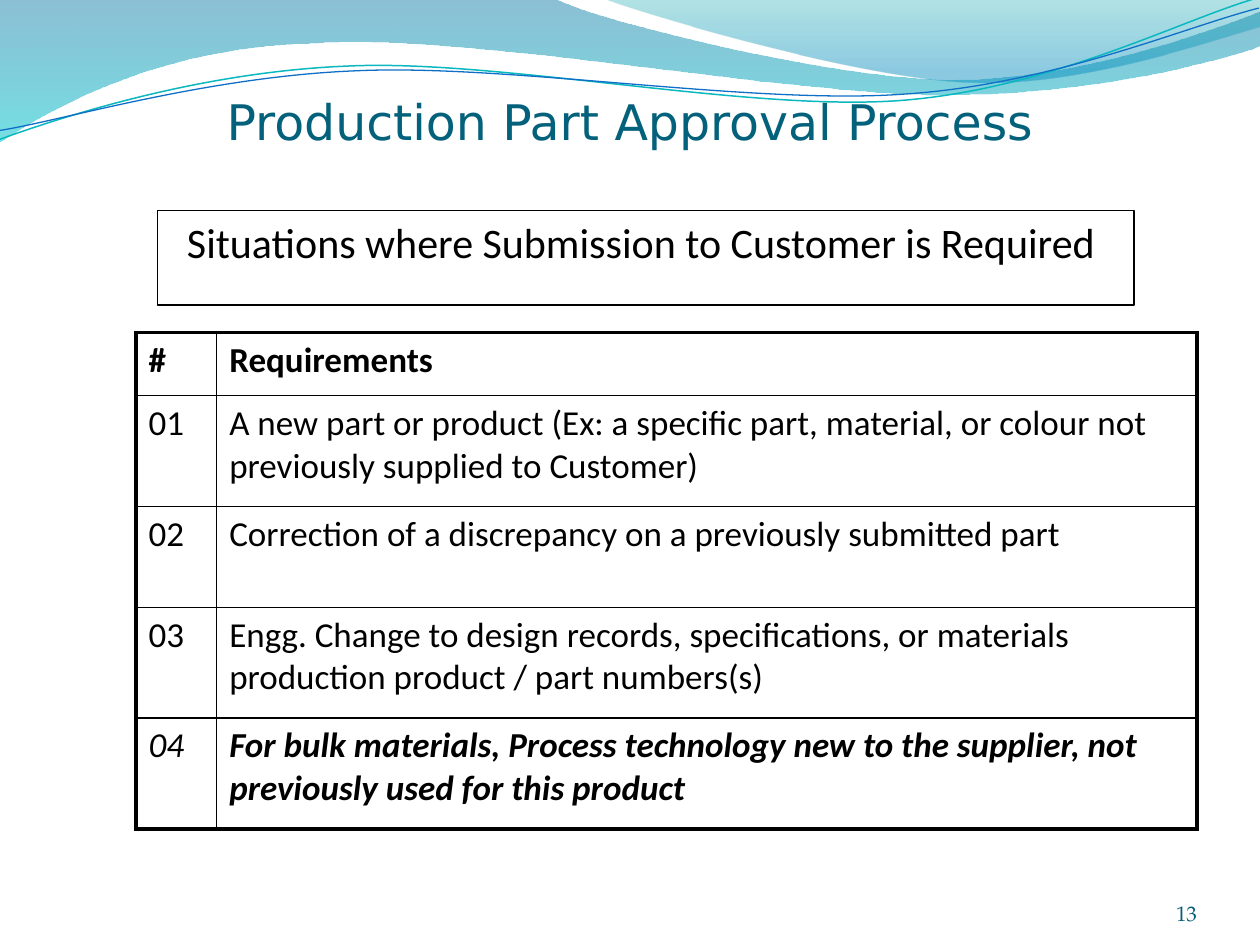
"""Build the slide on when a part approval submission to the customer is required."""
from dataclasses import dataclass

from lxml import etree
from pptx import Presentation
from pptx.dml.color import RGBColor
from pptx.enum.shapes import MSO_SHAPE
from pptx.enum.text import MSO_ANCHOR, PP_ALIGN
from pptx.oxml.ns import qn
from pptx.util import Pt

PX = 9144
STRAND_ROTATION = 357.3
THIN, THICK = 1, 2.25
RECTANGLE = MSO_SHAPE.RECTANGLE
TOP, BOTTOM = MSO_ANCHOR.TOP, MSO_ANCHOR.BOTTOM
LEFT, CENTER, RIGHT = PP_ALIGN.LEFT, PP_ALIGN.CENTER, PP_ALIGN.RIGHT

BLACK = RGBColor(0x00, 0x00, 0x00)
WHITE = RGBColor(0xFF, 0xFF, 0xFF)
TITLE_BLUE = RGBColor(0x04, 0x61, 0x7B)
NUMBER_BLUE = RGBColor(0x04, 0x5D, 0x75)
DEEP_BLUE = RGBColor(0x00, 0x74, 0xA1)
CYAN = RGBColor(0x00, 0xC6, 0xCF)
TEAL = RGBColor(0x00, 0xA1, 0xA9)
SKY_BLUE = RGBColor(0x00, 0x8B, 0xBF)
LINE_TEAL = RGBColor(0x0A, 0xB8, 0xBF)
LINE_BLUE = RGBColor(0x0F, 0x6F, 0xC6)

Point = tuple[int, int]


@dataclass(frozen=True)
class GradientStop:
    position: float
    color: RGBColor
    opacity: int


@dataclass(frozen=True)
class Band:
    start: Point
    steps: tuple[tuple[Point, ...], ...]
    stops: tuple[GradientStop, GradientStop]


@dataclass(frozen=True)
class Strand:
    start: Point
    steps: tuple[tuple[Point, ...], ...]
    color: RGBColor
    weight: float


@dataclass(frozen=True)
class TextStyle:
    font: str
    size: int
    color: RGBColor
    alignment: PP_ALIGN = LEFT
    bold: bool = False
    italic: bool = False


@dataclass(frozen=True)
class Requirement:
    number: str
    text: str
    height: int
    bold: tuple[bool, bool] = (False, False)
    italic: bool = False


BANDS = (
    Band((0, 0), (
        ((440, -1),),
        ((476, 17), (664, 63), (758, 63)),
        ((853, 63), (958, 26), (1000, 9)),
        ((1001, 36),),
        ((983, 44), (870, 76), (746, 75)),
        ((622, 75), (382, 28), (257, 34)),
        ((129, 36), (46, 83), (-1, 113)),
        ((0, 0),),
    ), (GradientStop(0, DEEP_BLUE, 45), GradientStop(1, CYAN, 55))),
    Band((479, -1), (
        ((509, 11), (682, 62), (769, 65)),
        ((856, 69), (961, 32), (1000, 21)),
        ((1000, 0),),
        ((479, -1),),
    ), (GradientStop(0, TEAL, 30), GradientStop(0.8, SKY_BLUE, 45))),
)
STRANDS = (
    Strand((-2, 87), (
        ((47, 72), (158, 41), (277, 42)),
        ((396, 42), (591, 93), (712, 90)),
        ((832, 87), (940, 36), (1000, 22)),
    ), LINE_TEAL, 0.85),
    Strand((-2, 80), (
        ((46, 75), (164, 45), (283, 46)),
        ((403, 46), (596, 88), (716, 85)),
        ((835, 83), (942, 42), (1001, 30)),
    ), LINE_BLUE, 0.75),
)
COLUMN_WIDTHS = (64, 778)
REQUIREMENTS = (
    Requirement("#", "Requirements", 50, bold=(True, True)),
    Requirement("01", "A new part or product (Ex: a specific part, material, or colour not "
                "previously supplied to Customer)", 88),
    Requirement("02", "Correction of a discrepancy on a previously submitted part", 80),
    Requirement("03", "Engg. Change to design records, specifications, or materials "
                "production product / part numbers(s)", 88),
    Requirement("04", "For bulk materials, Process technology new to the supplier, not "
                "previously used for this product", 88, bold=(False, True), italic=True),
)


def draw_outline(shapes, item: Band | Strand, close: bool):
    """Draw an outline whose three-point steps are cubic curves."""
    builder = shapes.build_freeform(*item.start, scale=PX)
    builder.add_line_segments([point for step in item.steps for point in step], close=close)
    shape = builder.convert_to_shape()
    shape.shadow.inherit = False
    segments = iter(list(shape._element.iter(qn("a:lnTo"))))
    for step in item.steps:
        first, *others = [next(segments) for _ in step]
        if others:
            curve = etree.Element(qn("a:cubicBezTo"))
            first.addprevious(curve)
            for segment in (first, *others):
                curve.append(segment[0])
                segment.getparent().remove(segment)
    return shape


def draw_band(shapes, band: Band) -> None:
    """Draw a wave filled with a translucent gradient from top to bottom."""
    shape = draw_outline(shapes, band, True)
    shape.line.fill.background()
    shape.fill.gradient()
    shape.fill.gradient_angle = 270
    for stop, values in zip(shape.fill.gradient_stops, band.stops):
        stop.position = values.position
        stop.color.rgb = values.color
    for color, values in zip(shape._element.spPr.iter(qn("a:srgbClr")), band.stops):
        etree.SubElement(color, qn("a:alpha"), val=str(values.opacity * 1000))


def draw_strand(shapes, strand: Strand) -> None:
    """Draw an open wavy line, slightly turned."""
    shape = draw_outline(shapes, strand, False)
    shape.rotation = STRAND_ROTATION
    shape.fill.background()
    shape.line.color.rgb = strand.color
    shape.line.width = Pt(strand.weight)


def write_text(frame, text: str, style: TextStyle) -> None:
    """Write one styled paragraph."""
    frame.word_wrap = True
    paragraph = frame.paragraphs[0]
    paragraph.text = text
    paragraph.alignment = style.alignment
    font = paragraph.font
    font.name, font.size, font.color.rgb = style.font, Pt(style.size), style.color
    font.bold, font.italic = style.bold, style.italic


def draw_text(slide, box: tuple[int, int, int, int], text: str, style: TextStyle):
    """Add a text box and return its frame."""
    frame = slide.shapes.add_textbox(*(value * PX for value in box)).text_frame
    write_text(frame, text, style)
    return frame


def draw_subtitle(slide) -> None:
    """Draw the framed subtitle."""
    shape = slide.shapes.add_shape(RECTANGLE, 125 * PX, 167 * PX, 775 * PX, 75 * PX)
    shape.shadow.inherit = False
    shape.fill.solid()
    shape.fill.fore_color.rgb = WHITE
    shape.line.color.rgb = BLACK
    shape.line.width = Pt(0.75)
    shape.text_frame.vertical_anchor = TOP
    write_text(shape.text_frame, "Situations where Submission to Customer is Required ",
               TextStyle("Calibri", 24, BLACK, CENTER))


def set_borders(cell, weights: dict[str, float]) -> None:
    """Give each side of a cell a black border of its own weight."""
    properties = cell._tc.get_or_add_tcPr()
    for index, (side, weight) in enumerate(weights.items()):
        line = etree.Element(qn(f"a:ln{side}"), w=str(Pt(weight)))
        fill = etree.SubElement(line, qn("a:solidFill"))
        etree.SubElement(fill, qn("a:srgbClr"), val=str(BLACK))
        properties.insert(index, line)


def draw_requirements(slide) -> None:
    """Draw the table of requirements with a thick outer frame."""
    last_row, last_column = len(REQUIREMENTS) - 1, len(COLUMN_WIDTHS) - 1
    height = sum(requirement.height for requirement in REQUIREMENTS)
    table = slide.shapes.add_table(last_row + 1, last_column + 1, 108 * PX, 264 * PX,
                                   sum(COLUMN_WIDTHS) * PX, height * PX).table
    table.first_row = table.horz_banding = False
    for column, width in zip(table.columns, COLUMN_WIDTHS):
        column.width = width * PX
    for row, requirement in enumerate(REQUIREMENTS):
        table.rows[row].height = requirement.height * PX
        for column, text in enumerate((requirement.number, requirement.text)):
            cell = table.cell(row, column)
            cell.fill.background()
            write_text(cell.text_frame, text, TextStyle(
                "Calibri", 20, BLACK, bold=requirement.bold[column], italic=requirement.italic))
            outer = {"L": column == 0, "R": column == last_column,
                     "T": row == 0, "B": row == last_row}
            set_borders(cell, {side: THICK if edge else THIN for side, edge in outer.items()})


def main() -> None:
    """Build and save the presentation."""
    presentation = Presentation()
    presentation.slide_width, presentation.slide_height = 1000 * PX, 750 * PX
    slide = presentation.slides.add_slide(presentation.slide_layouts[6])
    for band in BANDS:
        draw_band(slide.shapes, band)
    strands = slide.shapes.add_group_shape()
    for strand in STRANDS:
        draw_strand(strands.shapes, strand)
    draw_subtitle(slide)
    draw_requirements(slide)
    draw_text(slide, (170, 68, 672, 57), "Production Part Approval Process",
              TextStyle("DejaVu Sans", 28, TITLE_BLUE))
    number = draw_text(slide, (867, 695, 83, 40), "13",
                       TextStyle("TeX Gyre Pagella", 12, NUMBER_BLUE, RIGHT))
    number.margin_left = number.margin_right = number.margin_top = number.margin_bottom = 0
    number.vertical_anchor = BOTTOM
    presentation.save("out.pptx")


if __name__ == "__main__":
    main()
